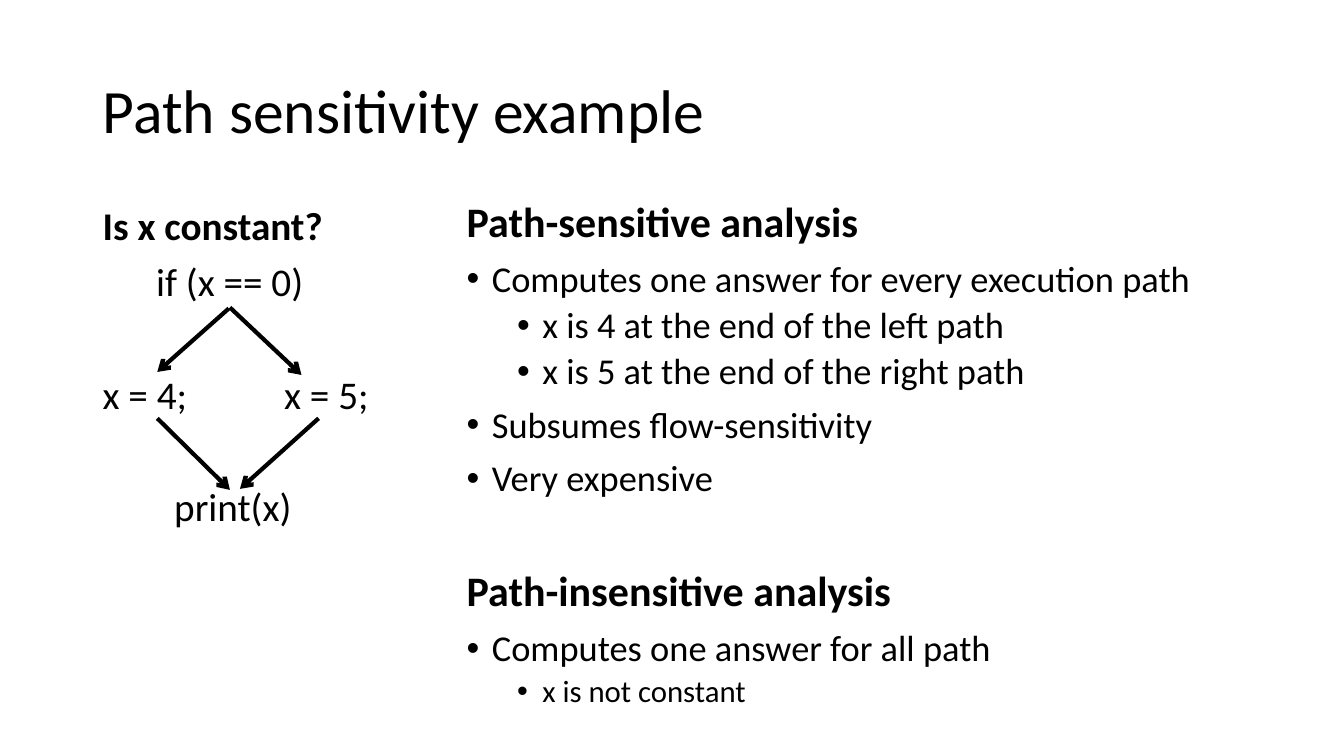
import pptx
import pptx.dml.color
import pptx.enum.shapes
import pptx.enum.text
import pptx.oxml.ns
import pptx.util
from lxml import etree
from pptx.util import Inches

TITLE_ONLY = 5


def rgb(hex_string):
    return pptx.dml.color.RGBColor.from_string(hex_string)


def add_xml(parent, tag, **attributes):
    return etree.SubElement(parent, pptx.oxml.ns.qn(tag), attributes)


class SlideBuilder:
    font = "Calibri"
    ink = "000000"

    def __init__(self, presentation):
        self.slide = presentation.slides.add_slide(presentation.slide_layouts[TITLE_ONLY])

    def frame(self, shape, anchor):
        frame = shape.text_frame
        frame.word_wrap = True
        frame.auto_size = pptx.enum.text.MSO_AUTO_SIZE.NONE
        frame.vertical_anchor = anchor
        return frame

    def paragraph(self, paragraph, text, size, bold=False, before=0, indent=0, bullet=False):
        paragraph.alignment = pptx.enum.text.PP_ALIGN.LEFT
        paragraph.line_spacing = 0.9
        paragraph.space_before = pptx.util.Pt(before)
        run = paragraph.add_run()
        run.text = text
        run.font.name = self.font
        run.font.size = pptx.util.Pt(size)
        run.font.bold = bold
        run.font.color.rgb = rgb(self.ink)
        properties = paragraph._p.get_or_add_pPr()
        properties.set("marL", str(Inches(indent)))
        properties.set("indent", str(Inches(-0.25 if bullet else 0)))
        if bullet:
            add_xml(properties, "a:buFont", typeface="Arial")
            add_xml(properties, "a:buChar", char="•")

    def title(self, text, left, top, width, height):
        title = self.slide.shapes.title
        title.left, title.top = Inches(left), Inches(top)
        title.width, title.height = Inches(width), Inches(height)
        frame = self.frame(title, pptx.enum.text.MSO_ANCHOR.MIDDLE)
        self.paragraph(frame.paragraphs[0], text, 44)

    def text(self, left, top, width, height, paragraphs):
        box = self.slide.shapes.add_textbox(Inches(left), Inches(top), Inches(width), Inches(height))
        frame = self.frame(box, pptx.enum.text.MSO_ANCHOR.TOP)
        for number, settings in enumerate(paragraphs):
            paragraph = frame.add_paragraph() if number else frame.paragraphs[0]
            self.paragraph(paragraph, **settings)

    def arrow(self, start, end):
        arrow = self.slide.shapes.add_connector(
            pptx.enum.shapes.MSO_CONNECTOR.STRAIGHT, *map(Inches, start + end))
        arrow.line.color.rgb = rgb(self.ink)
        arrow.line.width = pptx.util.Pt(3)
        add_xml(arrow.line._get_or_add_ln(), "a:tailEnd", type="arrow")
        add_xml(arrow._element.spPr, "a:effectLst")


def heading(text, before=10):
    return dict(text=text, size=30, bold=True, before=before)


def point(text):
    return dict(text=text, size=26, before=10, indent=0.25, bullet=True)


def subpoint(text, size=26):
    return dict(text=text, size=size, before=5, indent=0.75, bullet=True)


def code(text, before=10, **layout):
    return dict(text=text, size=28, before=before, **layout)


def main():
    presentation = pptx.Presentation()
    presentation.slide_width = Inches(13.33)
    presentation.slide_height = Inches(7.5)
    builder = SlideBuilder(presentation)

    builder.title("Path sensitivity example", 0.92, 0.4, 11.5, 1.45)
    builder.text(0.92, 2, 3.13, 4.55, [
        code("Is x constant?", bold=True),
        code("if (x == 0)", indent=0.53),
        code("x = 4;", before=50),
        code("print(x)", before=50, indent=0.71),
    ])
    builder.text(2.72, 3.68, 1.33, 0.6, [code("x = 5;")])
    builder.text(4.53, 1.95, 8.45, 5.33, [
        heading("Path-sensitive analysis"),
        point("Computes one answer for every execution path"),
        subpoint("x is 4 at the end of the left path"),
        subpoint("x is 5 at the end of the right path"),
        point("Subsumes flow-sensitivity"),
        point("Very expensive"),
        heading("Path-insensitive analysis", before=51),
        point("Computes one answer for all path"),
        subpoint("x is not constant", size=22),
    ])

    control_flow = [
        ((2.27, 3.06), (1.56, 3.69)),
        ((2.28, 3.05), (2.99, 3.72)),
        ((1.56, 4.15), (2.28, 4.86)),
        ((3.16, 4.15), (2.38, 4.85)),
    ]
    for start, end in control_flow:
        builder.arrow(start, end)

    presentation.save("out.pptx")


if __name__ == "__main__":
    main()
